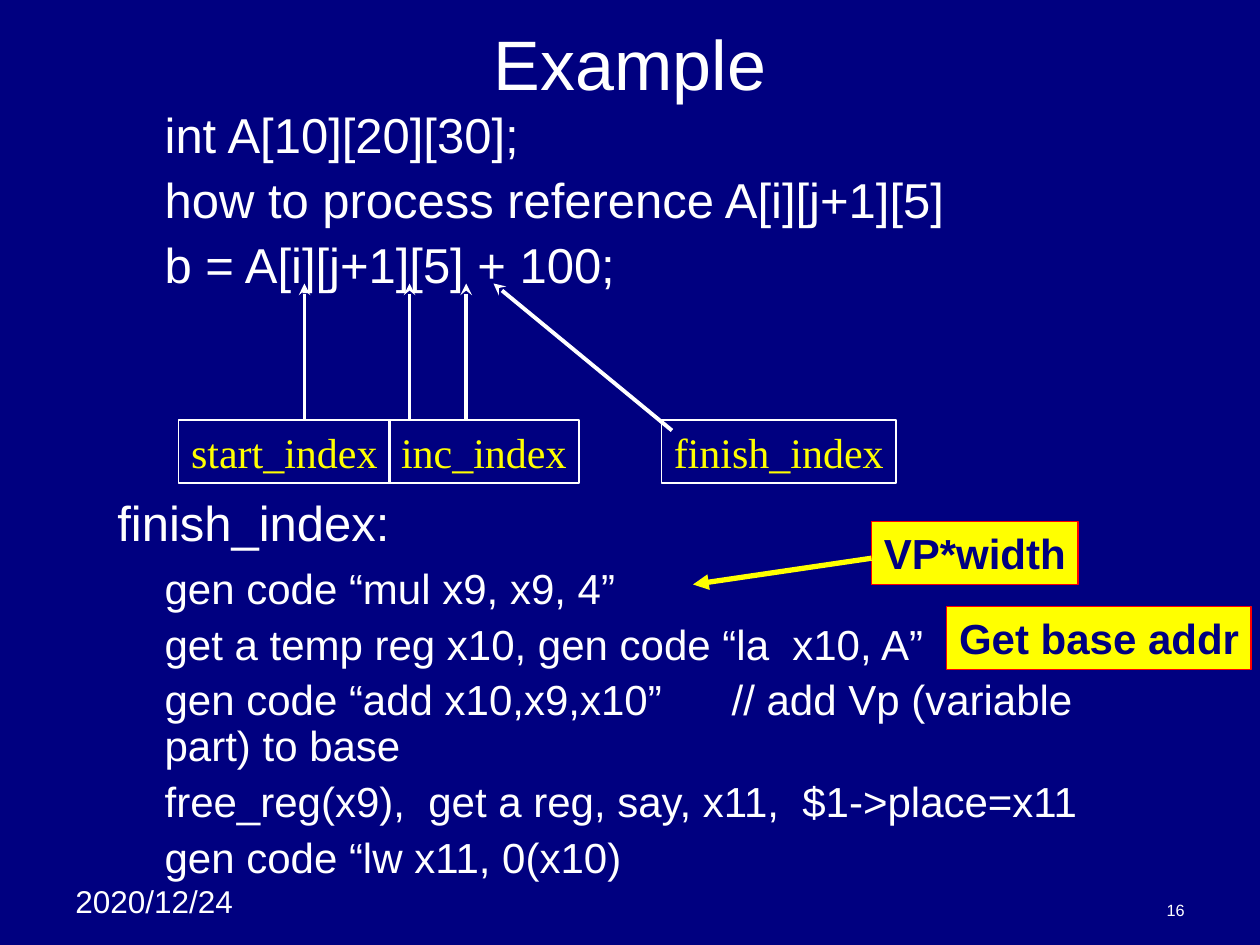
from dataclasses import dataclass

from pptx import Presentation
from pptx.dml.color import RGBColor
from pptx.enum import shapes, text
from pptx.oxml.ns import qn
from pptx.util import Pt
from lxml import etree


@dataclass(frozen=True)
class Theme:
    navy: str = "000080"
    white: str = "FFFFFF"
    yellow: str = "FFFF00"
    red: str = "FF0000"
    sans: str = "Arial"
    serif: str = "Times New Roman"
    title: float = 40
    lead: float = 28
    base: float = 24
    date: float = 18
    page: float = 9.3


T = Theme()
TOP, MID, LOW = (text.MSO_ANCHOR.TOP, text.MSO_ANCHOR.MIDDLE,
                 text.MSO_ANCHOR.BOTTOM)
LEFT, MIDDLE, RIGHT = (text.PP_ALIGN.LEFT, text.PP_ALIGN.CENTER,
                       text.PP_ALIGN.RIGHT)


def color(name):
    return RGBColor.from_string(name)


def style(para, size, tint=T.white, face=T.sans, bold=False):
    for run in para.runs:
        font = run.font
        font.name, font.size, font.bold = face, Pt(size), bold
        font.color.rgb = color(tint)


def label(slide, box, words, size, align=LEFT, anchor=TOP):
    """Plain line of text in a box."""
    frame = slide.shapes.add_textbox(*map(Pt, box)).text_frame
    frame.word_wrap = True
    frame.vertical_anchor = anchor
    para = frame.paragraphs[0]
    para.text, para.alignment = words, align
    style(para, size)


def tag(slide, box, words, line, width, align, fill=None, **look):
    """Framed label, filled or open."""
    shape = slide.shapes.add_shape(shapes.MSO_SHAPE.RECTANGLE, *map(Pt, box))
    shape.shadow.inherit = False
    if fill:
        shape.fill.solid()
        shape.fill.fore_color.rgb = color(fill)
    else:
        shape.fill.background()
    shape.line.color.rgb = color(line)
    shape.line.width = Pt(width)
    frame = shape.text_frame
    frame.word_wrap = False
    frame.vertical_anchor = TOP
    para = frame.paragraphs[0]
    para.text, para.alignment = words, align
    style(para, T.base, **look)


def arrow(slide, start, end, tint, width, head):
    line = slide.shapes.add_connector(
        shapes.MSO_CONNECTOR.STRAIGHT, *map(Pt, (*start, *end)))
    line.line.color.rgb = color(tint)
    line.line.width = Pt(width)
    tip = etree.SubElement(line.line._get_or_add_ln(), qn("a:tailEnd"))
    tip.set("type", head)
    etree.SubElement(line._element.spPr, qn("a:effectLst"))


def body(slide, box):
    """Declaration, reference and generated code; the gap holds the diagram."""
    rows = [  # words, size, indent, space before
        ("int\tA[10][20][30];", T.lead, 27, 0),
        ("how to process reference A[i][j+1][5]", T.lead, 27, 7),
        ("b = A[i][j+1][5] + 100;", T.lead, 27, 7),
        ("finish_index:", T.lead, 0, 117),
        ("gen code “mul x9, x9, 4”", T.base, 27, 9),
        ("get a temp reg x10, gen code “la  x10, A”", T.base, 27, 6),
        ("gen code “add x10,x9,x10” \t// add Vp (variable part) to base",
         T.base, 27, 6),
        ("free_reg(x9),  get a reg, say, x11,  $1->place=x11", T.base, 27, 6),
        ("gen code “lw x11, 0(x10)", T.base, 27, 6),
    ]
    frame = slide.shapes.add_textbox(*map(Pt, box)).text_frame
    frame.word_wrap = True
    for i, (words, size, indent, gap) in enumerate(rows):
        para = frame.add_paragraph() if i else frame.paragraphs[0]
        para.text = words
        props = para._p.get_or_add_pPr()
        props.set("marL", str(Pt(indent)))
        props.set("indent", "0")
        if "\t" in words:
            tabs = etree.SubElement(props, qn("a:tabLst"))
            for n in range(1, 8):
                etree.SubElement(tabs, qn("a:tab"), pos=str(Pt(72 * n)),
                                 algn="l")
        para.line_spacing = 0.9
        para.space_before = Pt(gap)
        style(para, size)


def diagram(slide, box):
    """Index labels with arrows up to the brackets that trigger them."""
    x, y, w, h = box
    row = 36
    base = y + h - row
    for dx, wide, words in ((0, 121, "start_index"), (120, 109, "inc_index"),
                            (276, 134, "finish_index")):
        tag(slide, (x + dx, base, wide, row), words, T.white, 1, MIDDLE,
            tint=T.yellow, face=T.serif)
    for foot, tip, drop in ((72, 72, 0), (132, 132, 0), (164.4, 164.4, 0),
                            (282, 180, 6)):
        arrow(slide, (x + foot, base + drop), (x + tip, y), T.white, 2.25,
              "stealth")


def notes(slide, box):
    """Yellow remarks beside the generated code."""
    x, y, w, h = box
    row = 36
    look = dict(fill=T.yellow, tint=T.navy, bold=True)
    tag(slide, (x + 102, y, 118, row), "VP*width", T.red, 0.75, LEFT, **look)
    arrow(slide, (x + 102, y + 21), (x, y + 36), T.yellow, 3, "triangle")
    tag(slide, (x + w - 174, y + h - row, 174, row), "Get base addr",
        T.red, 0.75, LEFT, **look)


def main():
    deck = Presentation()
    deck.slide_width, deck.slide_height = Pt(720), Pt(540)
    slide = deck.slides.add_slide(deck.slide_layouts[6])
    slide.background.fill.solid()
    slide.background.fill.fore_color.rgb = color(T.navy)

    # Footer and title
    label(slide, (36, 500.4, 114, 29), "2020/12/24", T.date)
    label(slide, (516, 510, 168, 19.4), "16", T.page, RIGHT, LOW)
    label(slide, (54, 12, 612, 48), "Example", T.title, MIDDLE, MID)

    # Text, diagram and remarks
    body(slide, (60, 60, 612, 462))
    diagram(slide, (102, 162, 410, 114))
    notes(slide, (396, 298, 319, 84.5))
    deck.save("out.pptx")


if __name__ == "__main__":
    main()
